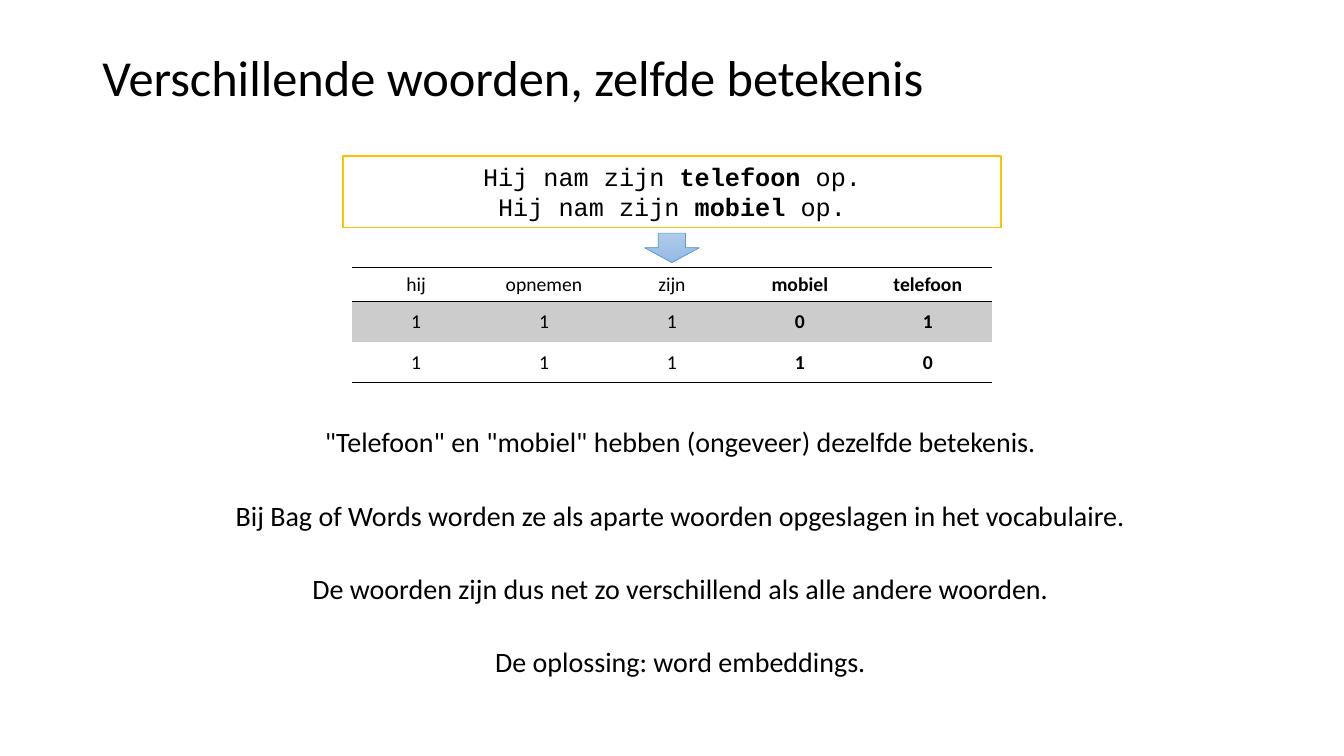
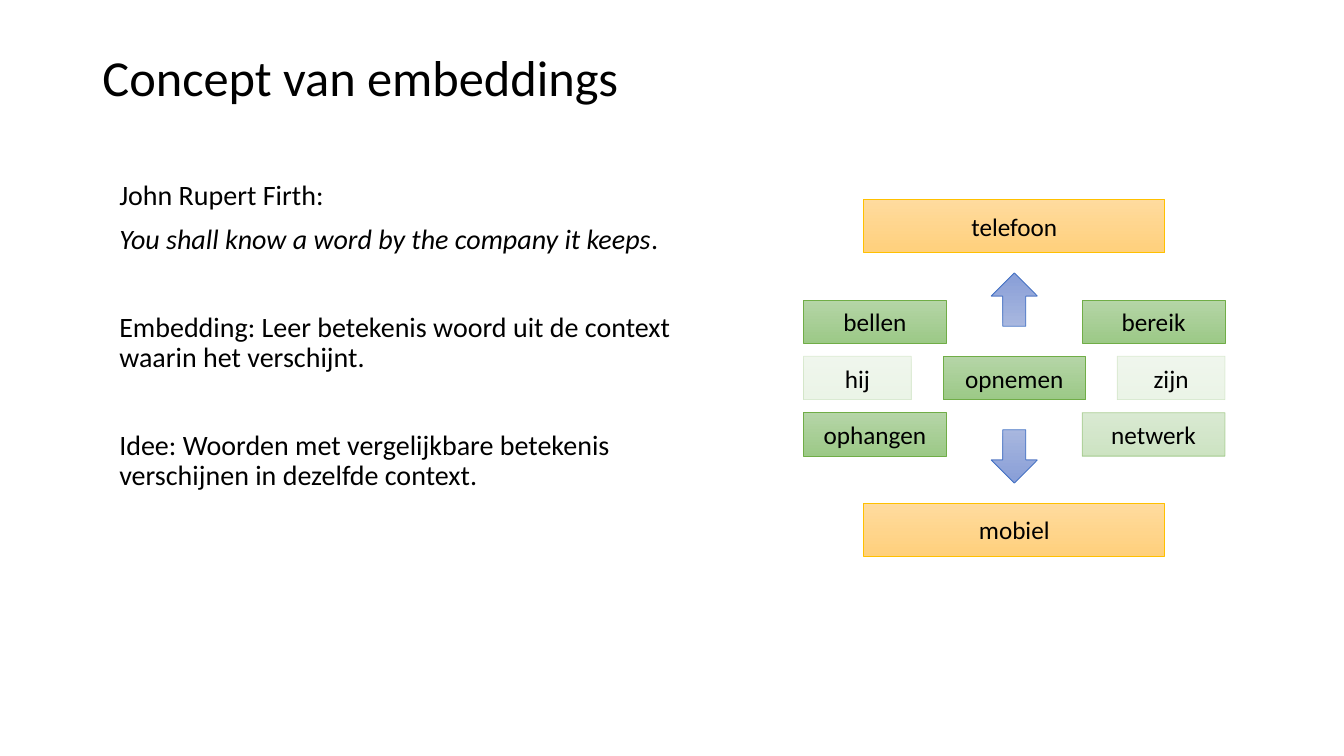
from dataclasses import dataclass
from lxml.etree import SubElement
from pptx import Presentation
from pptx.dml.color import RGBColor as RGB
from pptx.enum.shapes import MSO_SHAPE as SHAPE
from pptx.enum.text import MSO_ANCHOR as ANCHOR, MSO_AUTO_SIZE as AUTO, PP_ALIGN as ALIGN
from pptx.oxml.ns import qn
from pptx.util import Pt


# Colours and type sizes
@dataclass(frozen=True)
class Theme:
    font: str = "Calibri"
    mono: str = "Courier New"
    title: int = 36
    body: int = 20
    label: int = 18
    cell: int = 14
    black: str = "000000"
    white: str = "FFFFFF"
    band: str = "CCCCCC"
    # Each style: gradient start, gradient end, outline
    gold: tuple = ("FFDB9E", "FFD07C", "FFC000")
    green: tuple = ("B5D5A7", "9CC987", "70AD47")
    sky: tuple = ("B1CBE9", "93B9E4", "5B9BD5")
    indigo: tuple = ("A8B7DF", "889ED7", "4472C4")


T = Theme()
NO_TABLE_STYLE = "{2D5ABB26-0587-4C30-8999-92F81FD0307C}"


def rgb(value):
    return RGB.from_string(value)


# Text
def add_run(p, text, size, font=T.font, bold=False, italic=False):
    r = p.add_run()
    r.text = text
    r.font.name, r.font.size = font, Pt(size)
    r.font.bold, r.font.italic = bold, italic
    r.font.color.rgb = rgb(T.black)


def next_paragraph(tf, first, align):
    p = tf.paragraphs[0] if first else tf.add_paragraph()
    p.alignment = align
    return p


def place(sp, left, top, width, height):
    sp.left, sp.top, sp.width, sp.height = Pt(left), Pt(top), Pt(width), Pt(height)


def add_titled_slide(prs, title):
    s = prs.slides.add_slide(prs.slide_layouts[1])
    sp = s.shapes.title
    place(sp, 66, 29, 828, 57)
    tf = sp.text_frame
    tf.auto_size, tf.vertical_anchor = AUTO.NONE, ANCHOR.MIDDLE
    p = next_paragraph(tf, True, ALIGN.LEFT)
    p.line_spacing = 0.9
    add_run(p, title, T.title)
    return s


def fill_body(s, area, paragraphs, align, line_spacing):
    """paragraphs: (space before, [(text, italic), ...])"""
    sp = s.placeholders[1]
    place(sp, *area)
    tf = sp.text_frame
    tf.auto_size, tf.vertical_anchor = AUTO.NONE, ANCHOR.TOP
    for i, (before, runs) in enumerate(paragraphs):
        p = next_paragraph(tf, i == 0, align)
        pPr = p._p.get_or_add_pPr()
        pPr.set("marL", "0")
        pPr.set("indent", "0")
        SubElement(pPr, qn("a:buNone"))
        p.line_spacing, p.space_before = line_spacing, Pt(before)
        for text, italic in runs:
            add_run(p, text, T.body, italic=italic)


# Shapes
def add_gradient_shape(s, kind, area, style, text="", angle=270, opacity=100):
    sp = s.shapes.add_shape(kind, *map(Pt, area))
    sp.shadow.inherit = False
    start, end, outline = style
    sp.fill.gradient()
    sp.fill.gradient_angle = angle
    for stop, colour in zip(sp.fill.gradient_stops, (start, end)):
        stop.color.rgb = rgb(colour)
    sp.line.color.rgb, sp.line.width = rgb(outline), Pt(0.5)
    if opacity < 100:
        for colour in list(sp._element.spPr.iter(qn("a:srgbClr"))):
            SubElement(colour, qn("a:alpha"), val=str(opacity * 1000))
    if text:
        tf = sp.text_frame
        tf.vertical_anchor = ANCHOR.MIDDLE
        add_run(next_paragraph(tf, True, ALIGN.CENTER), text, T.label)
    return sp


def add_sentence_box(s, area, sentences):
    sp = s.shapes.add_shape(SHAPE.RECTANGLE, *map(Pt, area))
    sp.shadow.inherit = False
    sp.fill.solid()
    sp.fill.fore_color.rgb = rgb(T.white)
    sp.line.color.rgb, sp.line.width = rgb(T.gold[2]), Pt(1)
    tf = sp.text_frame
    tf.word_wrap, tf.vertical_anchor = False, ANCHOR.TOP
    for i, (start, keyword, end) in enumerate(sentences):
        p = next_paragraph(tf, i == 0, ALIGN.CENTER)
        add_run(p, start, T.label, T.mono)
        add_run(p, keyword, T.label, T.mono, bold=True)
        add_run(p, end, T.label, T.mono)


# Table
def add_border(cell, side):
    ln = SubElement(cell._tc.get_or_add_tcPr(), qn(f"a:{side}"), w=str(Pt(1)))
    SubElement(SubElement(ln, qn("a:solidFill")), qn("a:srgbClr"), val=T.black)


def add_count_table(s, left, top, width, row_heights, rows, bold_from):
    frame = s.shapes.add_table(len(rows), len(rows[0]), Pt(left), Pt(top),
                               Pt(width), Pt(sum(row_heights)))
    table = frame.table
    table._tbl.tblPr.find(qn("a:tableStyleId")).text = NO_TABLE_STYLE
    for i, (height, values) in enumerate(zip(row_heights, rows)):
        table.rows[i].height = Pt(height)
        for j, value in enumerate(values):
            cell = table.cell(i, j)
            cell.vertical_anchor = ANCHOR.MIDDLE
            p = next_paragraph(cell.text_frame, True, ALIGN.CENTER)
            add_run(p, value, T.cell, bold=j >= bold_from)
            if i == 0:
                add_border(cell, "lnT")
            if i in (0, len(rows) - 1):
                add_border(cell, "lnB")
            if i % 2:
                cell.fill.solid()
                cell.fill.fore_color.rgb = rgb(T.band)
            else:
                cell.fill.background()


# Slides
def build_same_meaning(prs):
    s = add_titled_slide(prs, "Verschillende woorden, zelfde betekenis")
    lines = [
        "\"Telefoon\" en \"mobiel\" hebben (ongeveer) dezelfde betekenis.",
        "Bij Bag of Words worden ze als aparte woorden opgeslagen in het vocabulaire.",
        "De woorden zijn dus net zo verschillend als alle andere woorden.",
        "De oplossing: word embeddings.",
    ]
    fill_body(s, (78, 297.5, 816, 201),
              [(26 if i else 0, [(line, False)]) for i, line in enumerate(lines)],
              ALIGN.CENTER, 1.1)
    add_sentence_box(s, (245, 111.5, 470, 51),
                     [("Hij nam zijn ", word, " op.") for word in ("telefoon", "mobiel")])
    add_count_table(s, 251.5, 191, 457, (24.5, 29, 29), [
        ("hij", "opnemen", "zijn", "mobiel", "telefoon"),
        ("1", "1", "1", "0", "1"),
        ("1", "1", "1", "1", "0"),
    ], bold_from=3)
    add_gradient_shape(s, SHAPE.DOWN_ARROW, (460.5, 166.5, 39, 21), T.sky)


def build_concept(prs):
    s = add_titled_slide(prs, "Concept van embeddings")
    fill_body(s, (78, 126, 426, 373), [
        (0, [("John Rupert Firth:", False)]),
        (10, [("You shall know a word by the company it keeps", True), (".", False)]),
        (41, [("Embedding: Leer betekenis woord uit de context waarin het verschijnt.", False)]),
        (41, [("Idee: Woorden met vergelijkbare betekenis verschijnen in dezelfde context.", False)]),
    ], ALIGN.LEFT, 0.9)

    # The diagram is symmetric about one centre
    mid_x, mid_y, half_width = 724.5, 270, 150.5
    word_h, row_pitch, wide, narrow = 31, 40.3, 102, 77
    target_w, target_h, target_offset = 215, 38, 108.5
    arrow_w, arrow_h, arrow_offset = 33, 38, 56

    for word, side in (("telefoon", -1), ("mobiel", 1)):
        y = mid_y + side * target_offset - target_h / 2
        add_gradient_shape(s, SHAPE.RECTANGLE,
                           (mid_x - target_w / 2, y, target_w, target_h), T.gold, word)
    for kind, side, angle in ((SHAPE.UP_ARROW, -1, 90), (SHAPE.DOWN_ARROW, 1, 270)):
        y = mid_y + side * arrow_offset - arrow_h / 2
        add_gradient_shape(s, kind, (mid_x - arrow_w / 2, y, arrow_w, arrow_h),
                           T.indigo, angle=angle)

    # Context words: text, column, row, width, opacity
    for word, col, row, width, opacity in (
        ("bellen", -1, -1, wide, 100),
        ("bereik", 1, -1, wide, 100),
        ("hij", -1, 0, narrow, 20),
        ("opnemen", 0, 0, wide, 100),
        ("zijn", 1, 0, narrow, 20),
        ("ophangen", -1, 1, wide, 100),
        ("netwerk", 1, 1, wide, 50),
    ):
        x = mid_x + col * (half_width - width / 2) - width / 2
        y = mid_y + row * row_pitch - word_h / 2
        add_gradient_shape(s, SHAPE.RECTANGLE, (x, y, width, word_h), T.green,
                           word, opacity=opacity)


def main():
    prs = Presentation()
    prs.slide_width, prs.slide_height = Pt(960), Pt(540)
    build_same_meaning(prs)
    build_concept(prs)
    prs.save("out.pptx")


if __name__ == "__main__":
    main()
